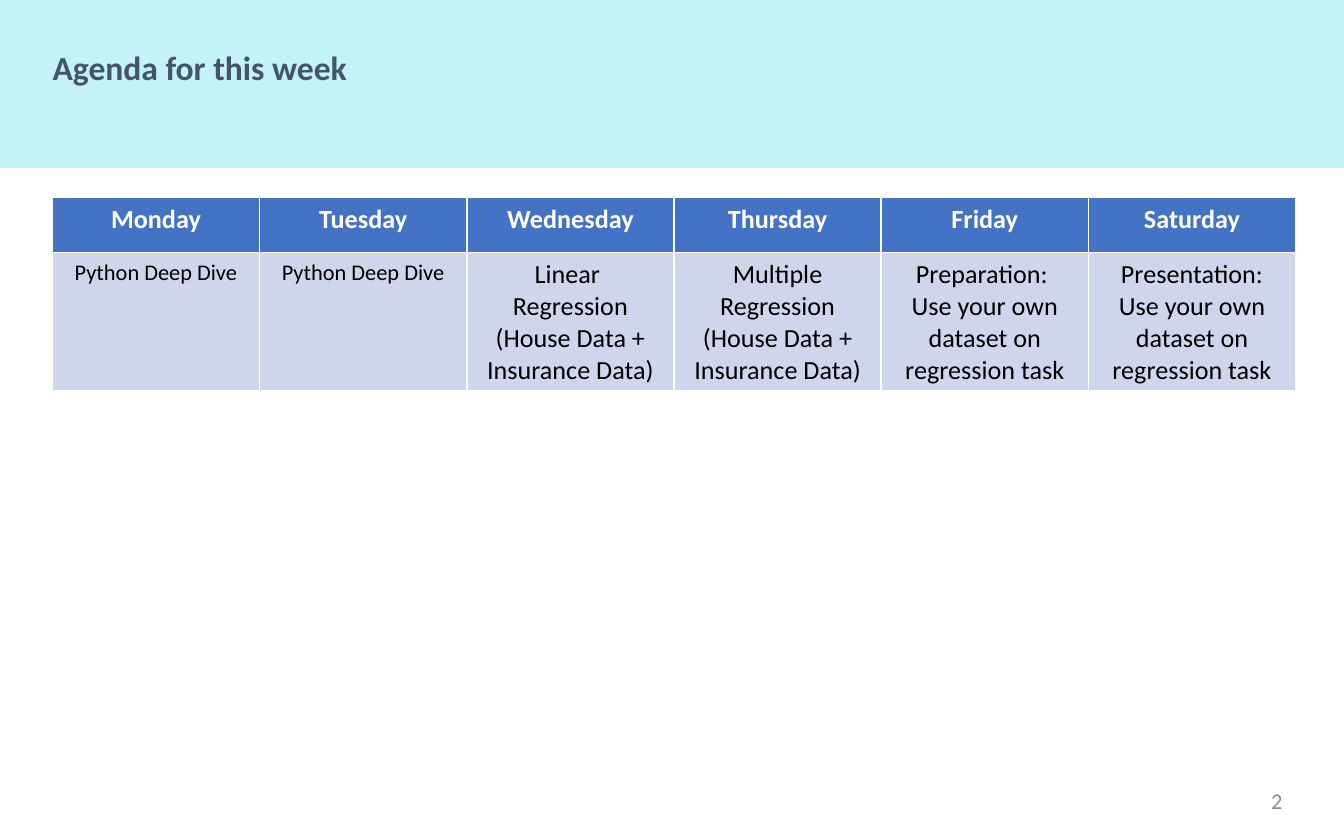
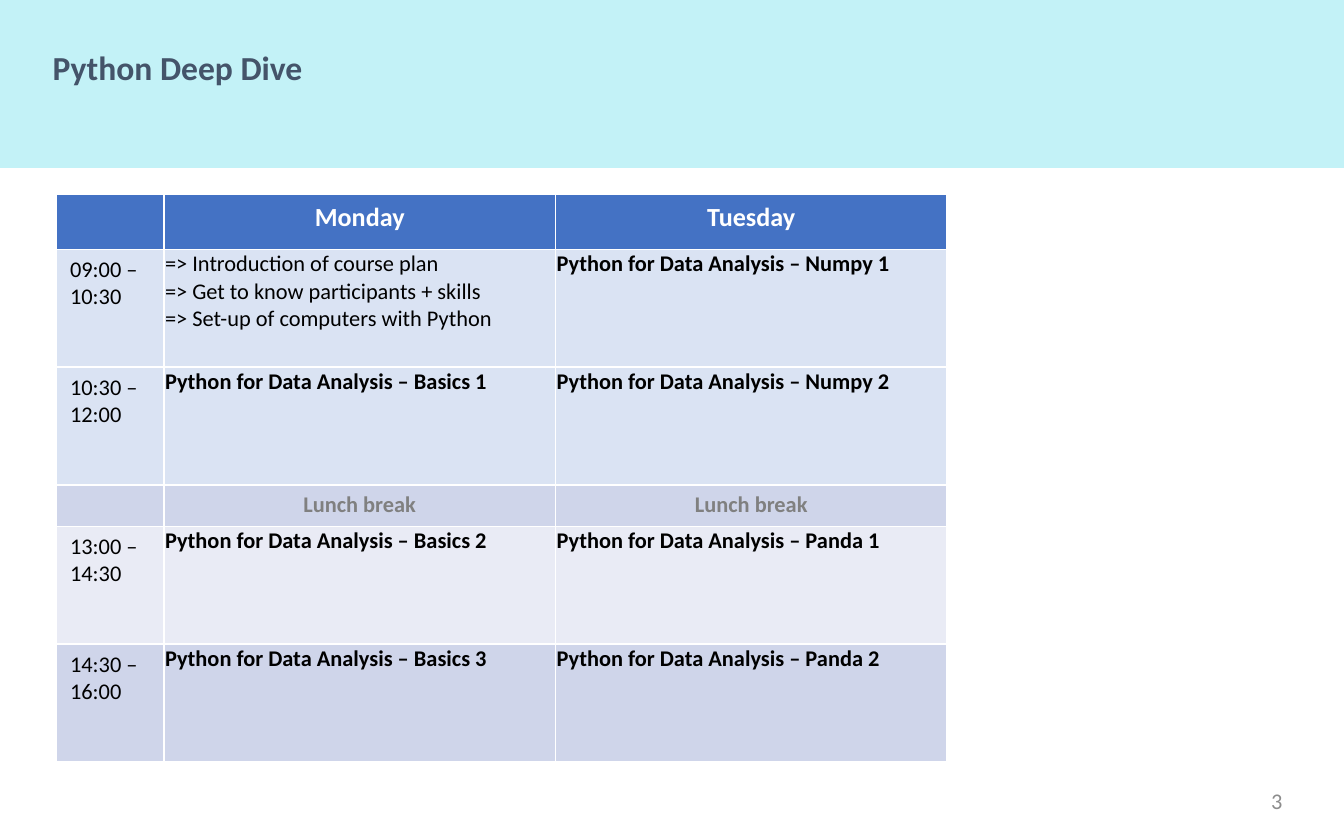
from collections import namedtuple

from lxml.etree import SubElement
from pptx import Presentation
from pptx.dml.color import RGBColor
from pptx.enum.text import MSO_ANCHOR as Anchor, MSO_AUTO_SIZE as AutoSize, PP_ALIGN as Align
from pptx.oxml.ns import qn
from pptx.util import Cm, Pt

Box = namedtuple("Box", "left top width height")
Style = namedtuple("Style", "size color bold align", defaults=(False, Align.LEFT))

COLORS = {
    "white": "FFFFFF", "band": "C3F2F7", "title": "44546A", "number": "8C8C8C",
    "text": "000000", "lunch": "808080", "header": "4472C4",
    "morning": "DAE3F3", "dark_row": "CFD5EA", "light_row": "E9EBF5",
}
FONT = "Calibri"
TITLE = Style(18, "title", True)
NUMBER = Style(12, "number", align=Align.RIGHT)
HEADER = Style(14, "white", True, Align.CENTER)
TOPIC = Style(14, "text", align=Align.CENTER)
SHORT_TOPIC = TOPIC._replace(size=12)
PLAIN = Style(12, "text")
SESSION = Style(12, "text", True)
LUNCH = Style(12, "lunch", True, Align.CENTER)

TITLE_BOX = Box(0.74, 0.84, 23.75, 0.89)
NUMBER_BOX = Box(18.77, 14.71, 5.72, 0.84)
WEEK_BOX = Box(0.99, 3.73, 23.5, 3.58)
COURSE_BOX = Box(1.07, 3.68, 16.83, 10.72)
HEADER_HEIGHT = 1.04
LUNCH_HEIGHT = 0.79
TIME_WIDTH = 2.03

WEEK = {
    "Monday": "Python Deep Dive",
    "Tuesday": "Python Deep Dive",
    "Wednesday": "Linear \vRegression\v(House Data + Insurance Data)",
    "Thursday": "Multiple Regression\v(House Data + Insurance Data)",
    "Friday": "Preparation: \vUse your own dataset on regression task",
    "Saturday": "Presentation:\vUse your own dataset on regression task",
}
INTRODUCTION = (
    "=> Introduction of course plan\v=> Get to know participants + skills\n"
    "=> Set-up of computers with Python"
)
COURSE = "Python for Data Analysis – "
SESSIONS = [
    ("09:00 –\v10:30", INTRODUCTION, COURSE + "Numpy 1", "morning"),
    ("10:30 –\v12:00", COURSE + "Basics 1", COURSE + "Numpy 2", "morning"),
    ("", "Lunch break", "Lunch break", "dark_row"),
    ("13:00 –\v14:30", COURSE + "Basics 2", COURSE + "Panda 1", "light_row"),
    ("14:30 –\v16:00", COURSE + "Basics 3", COURSE + "Panda 2", "dark_row"),
]


def rgb(name):
    """Return the named colour."""
    return RGBColor.from_string(COLORS[name])


def write(frame, text, style):
    """Set the text of a frame and format its runs, breaks and paragraph ends."""
    frame.text = text
    for para in frame.paragraphs:
        para.alignment = style.align
        for span in para.runs:
            span.font.name = FONT
            span.font.size = Pt(style.size)
            span.font.bold = style.bold
            span.font.color.rgb = rgb(style.color)
        size = str(style.size * 100)
        for line_break in para._p.findall(qn("a:br")):
            SubElement(line_break, qn("a:rPr"), sz=size)
        SubElement(para._p, qn("a:endParaRPr"), sz=size)


def paint_background(master):
    """Give the master a white page with a coloured band over its top fifth."""
    fill = master.background.fill
    fill.gradient()
    fill.gradient_angle = 90
    for stop, name in zip(fill.gradient_stops, ("white", "band")):
        stop.position = 0.8
        stop.color.rgb = rgb(name)


def add_page(deck, title, number):
    """Add a page with its title and page number."""
    page = deck.slides.add_slide(deck.slide_layouts[5])
    heading = page.shapes.title
    heading.left, heading.top, heading.width, heading.height = map(Cm, TITLE_BOX)
    frame = heading.text_frame
    write(frame, title, TITLE)
    frame.vertical_anchor = Anchor.TOP
    frame.auto_size = AutoSize.NONE
    frame.paragraphs[0].line_spacing = 0.9

    frame = page.shapes.add_textbox(*map(Cm, NUMBER_BOX)).text_frame
    frame.word_wrap = True
    frame.vertical_anchor = Anchor.MIDDLE
    write(frame, str(number), NUMBER)
    return page


def add_grid(page, box, widths, heights):
    """Add an empty table with the given column widths and row heights."""
    shape = page.shapes.add_table(len(heights), len(widths), *map(Cm, box))
    table = shape.table
    for column, width in zip(table.columns, widths):
        column.width = Cm(width)
    for row, height in zip(table.rows, heights):
        row.height = Cm(height)
    return table


def fill_cell(cell, text, style, fill, tight=False):
    """Write one table cell, with hardly any margin if it is tight."""
    cell.fill.solid()
    cell.fill.fore_color.rgb = rgb(fill)
    if tight:
        cell.margin_left = cell.margin_right = cell.margin_top = Cm(0.02)
        cell.margin_bottom = 0
    write(cell.text_frame, text, style)


def add_week(page, box):
    """Place the table with one column for each day of the week."""
    widths = [box.width / len(WEEK)] * len(WEEK)
    table = add_grid(page, box, widths, [HEADER_HEIGHT, box.height - HEADER_HEIGHT])
    for index, (day, topic) in enumerate(WEEK.items()):
        fill_cell(table.cell(0, index), day, HEADER, "header")
        style = SHORT_TOPIC if topic == "Python Deep Dive" else TOPIC
        fill_cell(table.cell(1, index), topic, style, "dark_row")


def add_course(page, box):
    """Place the timetable of the two course days."""
    day_width = (box.width - TIME_WIDTH) / 2
    session_height = (box.height - HEADER_HEIGHT - LUNCH_HEIGHT) / 4
    heights = [session_height if time else LUNCH_HEIGHT for time, *_ in SESSIONS]
    table = add_grid(page, box, [TIME_WIDTH, day_width, day_width], [HEADER_HEIGHT, *heights])
    for index, day in enumerate(("", "Monday", "Tuesday")):
        fill_cell(table.cell(0, index), day, HEADER, "header")
    for row, (time, *topics, fill) in enumerate(SESSIONS, 1):
        fill_cell(table.cell(row, 0), time, PLAIN, fill)
        for column, topic in enumerate(topics, 1):
            style = SESSION if time else LUNCH
            if topic == INTRODUCTION:
                style = PLAIN
            fill_cell(table.cell(row, column), topic, style, fill, tight=bool(time))


def main():
    """Build and save the deck."""
    deck = Presentation()
    deck.slide_width, deck.slide_height = Cm(25.4), Cm(15.88)
    paint_background(deck.slide_master)
    add_week(add_page(deck, "Agenda for this week", 2), WEEK_BOX)
    add_course(add_page(deck, "Python Deep Dive", 3), COURSE_BOX)
    deck.save("out.pptx")


if __name__ == "__main__":
    main()
